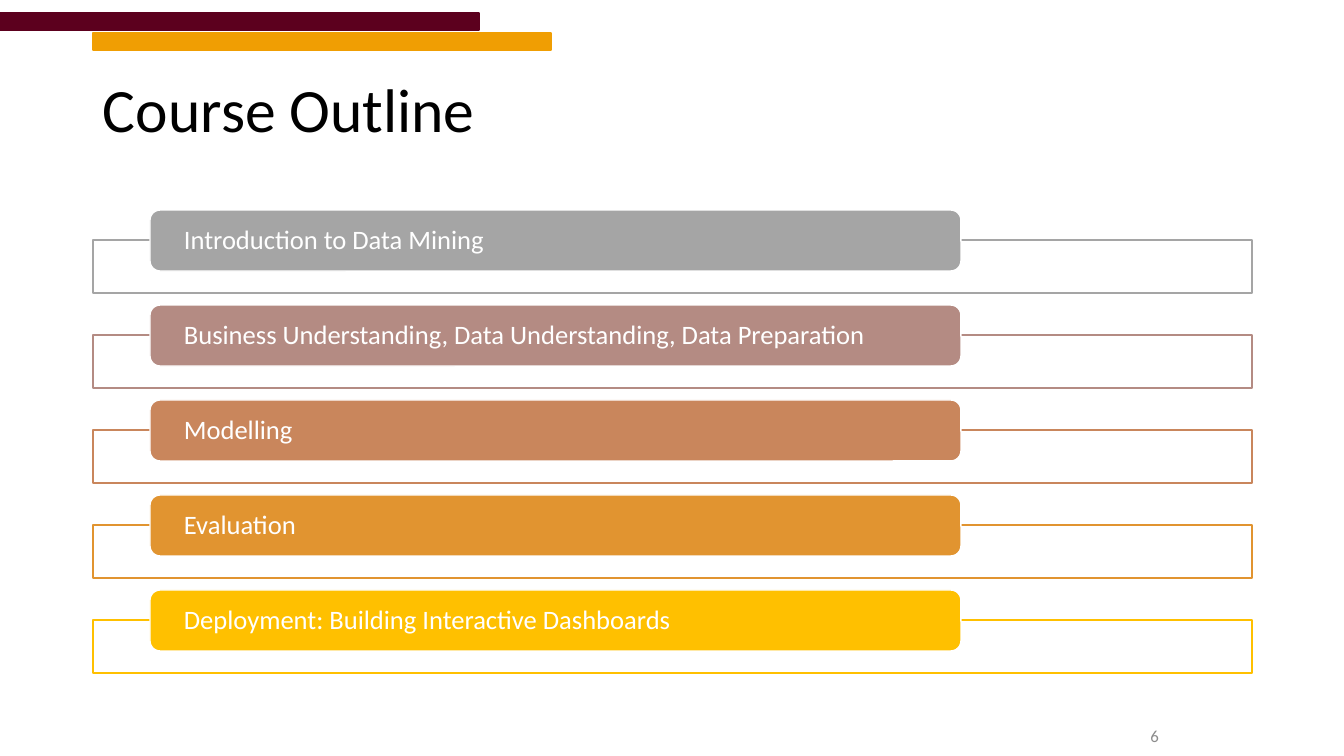
from dataclasses import dataclass

from lxml.etree import SubElement
from pptx import Presentation
from pptx.dml.color import RGBColor as RGB
from pptx.enum.shapes import MSO_SHAPE as SHAPE
from pptx.enum.text import MSO_ANCHOR as ANCHOR, PP_ALIGN as ALIGN
from pptx.oxml.ns import qn
from pptx.util import Pt

EMU_PER_PX = 914400 / 100.8


@dataclass(frozen=True)
class Theme:
    font: str = "Calibri"
    maroon: str = "5C001E"
    amber: str = "F09E03"
    black: str = "000000"
    white: str = "FFFFFF"
    grey: str = "8C8C8C"
    title_size: int = 44
    topic_size: int = 19
    number_size: int = 12


THEME = Theme()

TOPICS = [
    ("Introduction to Data Mining", "A5A5A5"),
    ("Business Understanding, Data Understanding, Data Preparation", "B48B83"),
    ("Modelling", "C9865C"),
    ("Evaluation", "E19430"),
    ("Deployment: Building Interactive Dashboards", "FFC000"),
]
FIRST_TOP, PITCH = 210, 95


def px(n):
    return round(n * EMU_PER_PX)


def add_box(s, kind, x, y, w, h, fill, line):
    sp = s.shapes.add_shape(kind, px(x), px(y), px(w), px(h))
    sp.shadow.inherit = False
    sp.fill.solid()
    sp.fill.fore_color.rgb = RGB.from_string(fill)
    sp.line.color.rgb = RGB.from_string(line)
    sp.line.width = Pt(1)
    return sp


def set_opacity(sp, percent):
    color = sp.fill._xPr.find(qn("a:solidFill"))[0]
    SubElement(color, qn("a:alpha")).set("val", str(percent * 1000))


def write(sp, text, size, color, align=ALIGN.LEFT, side=10, spacing=0.9):
    tf = sp.text_frame
    tf.word_wrap = True
    tf.vertical_anchor = ANCHOR.MIDDLE
    tf.margin_left = tf.margin_right = px(side)
    tf.margin_top = tf.margin_bottom = 0
    p = tf.paragraphs[0]
    p.alignment = align
    p.line_spacing = spacing
    r = p.add_run()
    r.text = text
    r.font.name = THEME.font
    r.font.size = Pt(size)
    r.font.color.rgb = RGB.from_string(color)


def add_text(s, x, y, w, h, *args, **kwargs):
    sp = s.shapes.add_textbox(px(x), px(y), px(w), px(h))
    write(sp, *args, **kwargs)


def add_topic(s, y, text, color):
    frame = add_box(s, SHAPE.RECTANGLE, 93, y + 30, 1159, 53, THEME.white, color)
    set_opacity(frame, 90)
    label = add_box(s, SHAPE.ROUNDED_RECTANGLE, 150, y, 811, 61, color, THEME.white)
    write(label, text, THEME.topic_size, THEME.white, side=31)


def main():
    prs = Presentation()
    prs.slide_width, prs.slide_height = px(1344), px(756)
    s = prs.slides.add_slide(prs.slide_layouts[6])

    # Header bars and title
    add_box(s, SHAPE.RECTANGLE, 0, 13, 479, 17, THEME.maroon, THEME.maroon)
    add_box(s, SHAPE.RECTANGLE, 93, 33, 458, 17, THEME.amber, THEME.amber)
    add_text(s, 93, 40, 1159, 146, "Course Outline", THEME.title_size, THEME.black)

    # Course topics
    for i, (text, color) in enumerate(TOPICS):
        add_topic(s, FIRST_TOP + i * PITCH, text, color)

    # Slide number
    add_text(s, 867, 716, 302, 40, "6", THEME.number_size, THEME.grey,
             align=ALIGN.RIGHT, spacing=1.0)

    prs.save("out.pptx")


if __name__ == "__main__":
    main()
